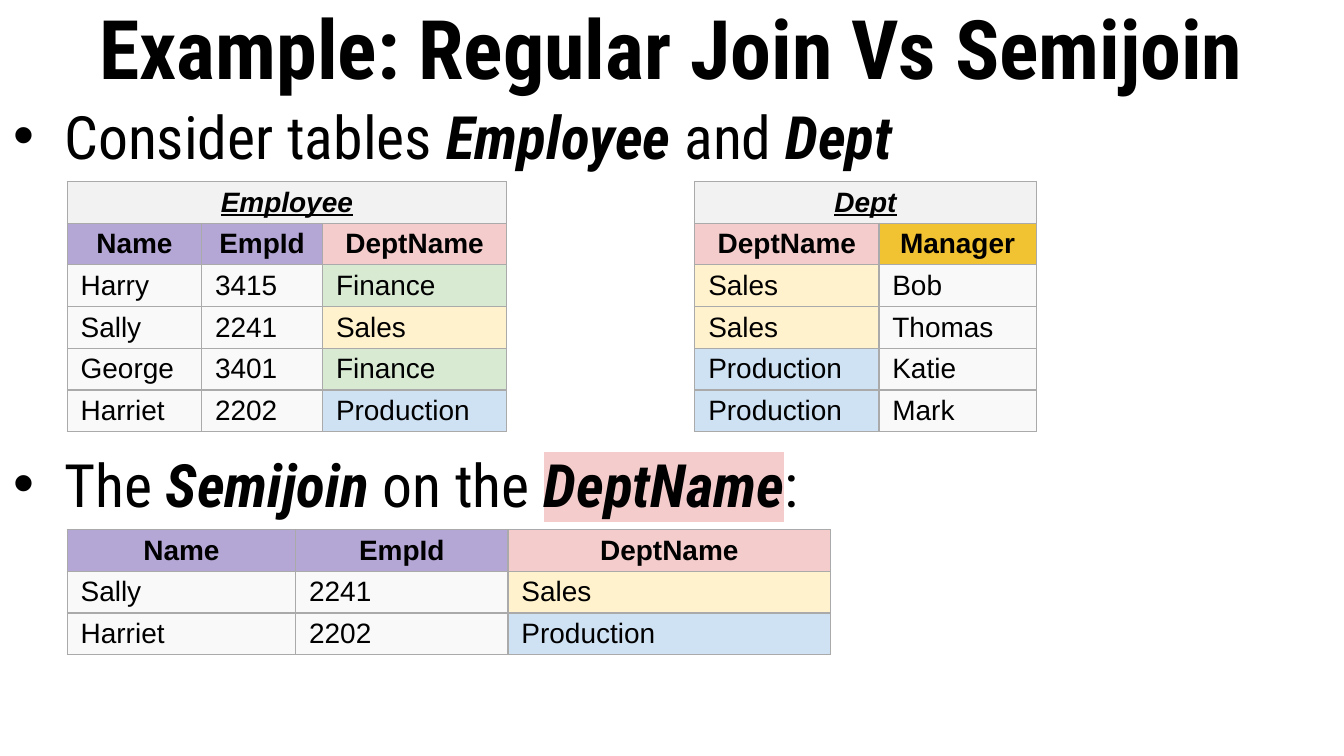
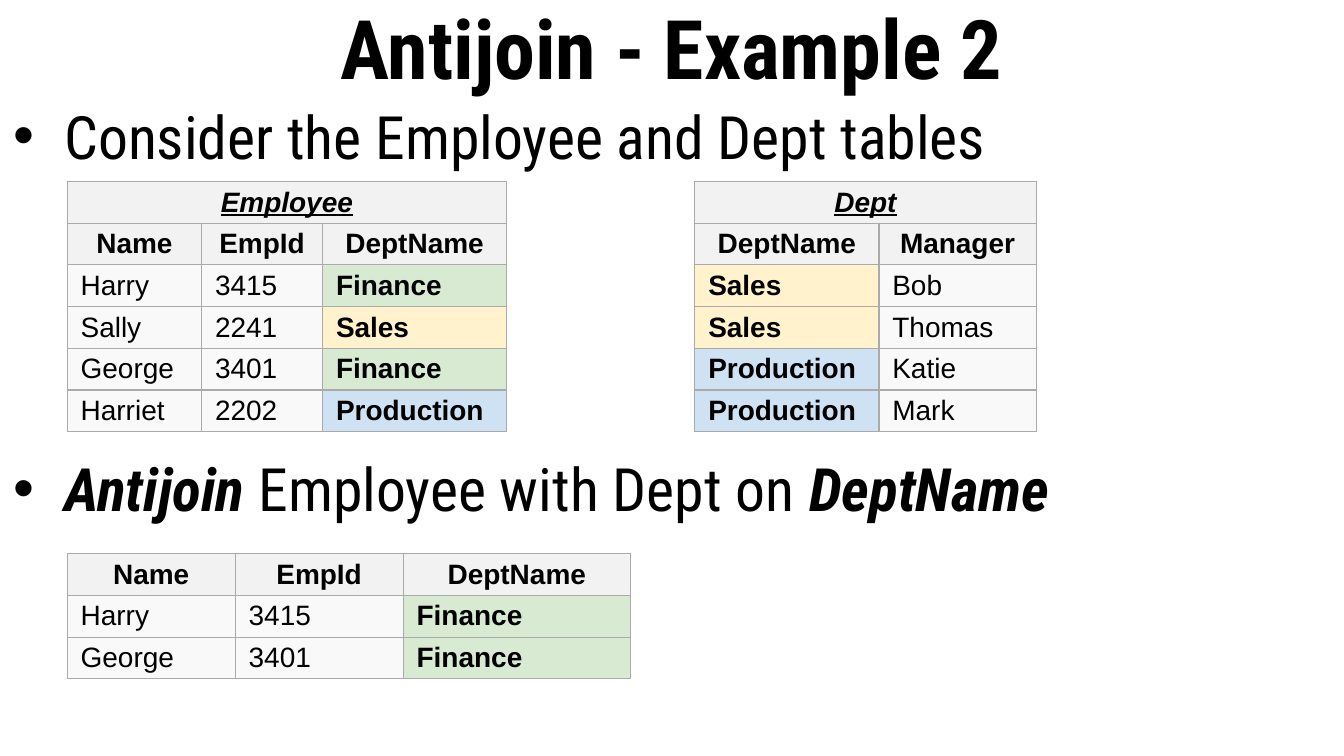
from lxml.etree import SubElement
from pptx import Presentation
from pptx.dml.color import RGBColor
from pptx.enum.text import MSO_ANCHOR, PP_ALIGN
from pptx.oxml.ns import qn
from pptx.util import Inches, Pt

WIDTH = 10
HEIGHT = WIDTH * 9 / 16
HEAD, BODY = "F2F2F2", "F9F9F9"
PURPLE, PINK, GOLD = "B4A7D6", "F4CCCC", "F1C232"
EDGE = "AAAAAA"
DEPTS = {"Finance": "D9EAD3", "Sales": "FFF2CC", "Production": "CFE2F3"}
KEYS = {"Name": PURPLE, "EmpId": PURPLE, "DeptName": PINK, "Manager": GOLD}

STAFF = [
    ("Name", "EmpId", "DeptName"),
    ("Harry", "3415", "Finance"),
    ("Sally", "2241", "Sales"),
    ("George", "3401", "Finance"),
    ("Harriet", "2202", "Production"),
]
UNITS = [
    ("DeptName", "Manager"),
    ("Sales", "Bob"),
    ("Sales", "Thomas"),
    ("Production", "Katie"),
    ("Production", "Mark"),
]
LEFT, RIGHT, TOP = 0.5, 5.17, 1.35
BAND = 0.69
ROW = 1.84 / 6


def color(code):
    return RGBColor.from_string(code)


def pick(*names):
    """Staff header plus the rows of the named people."""
    return [STAFF[0]] + [row for row in STAFF if row[0] in names]


class Deck:
    def __init__(self):
        self.prs = Presentation()
        self.prs.slide_width = Inches(WIDTH)
        self.prs.slide_height = Inches(HEIGHT)
        self.slide = None

    def start(self, title):
        self.slide = self.prs.slides.add_slide(self.prs.slide_layouts[6])
        frame = self.frame(0, BAND)
        frame.vertical_anchor = MSO_ANCHOR.MIDDLE
        para = frame.paragraphs[0]
        para.alignment = PP_ALIGN.CENTER
        self.run(para, title, 44, bold=True)

    def frame(self, top, height):
        box = self.slide.shapes.add_textbox(
            0, Inches(top), Inches(WIDTH), Inches(height))
        box.text_frame.word_wrap = True
        return box.text_frame

    def run(self, para, text, size, face="Roboto Condensed", bold=False,
            italic=False, under=False, mark=None):
        run = para.add_run()
        run.text = text
        font = run.font
        font.size, font.bold, font.italic = Pt(size), bold, italic
        font.underline = under
        font.color.rgb = color("000000")
        if mark:
            light = SubElement(font._element, qn("a:highlight"))
            SubElement(light, qn("a:srgbClr"), val=mark)
        font.name = face

    def points(self, gap, *items):
        """Bullets set apart by gap points; each item lists (text, strong, mark)."""
        frame = self.frame(BAND, HEIGHT - BAND)
        for i, item in enumerate(items):
            para = frame.add_paragraph() if i else frame.paragraphs[0]
            para.space_before = Pt(gap if i else 0)
            props = para._p.get_or_add_pPr()
            props.set("marL", str(Inches(0.38)))
            props.set("indent", str(-Inches(0.38)))
            tint = SubElement(props, qn("a:buClr"))
            SubElement(tint, qn("a:srgbClr"), val="000000")
            SubElement(props, qn("a:buFont"), typeface="Arial")
            SubElement(props, qn("a:buChar"), char="•")
            for text, strong, *mark in item:
                self.run(para, text, 32, bold=strong, italic=strong,
                         mark=mark[0] if mark else None)

    def table(self, left, top, widths, rows, name=None, keys=None, strong=False):
        """Table with an optional merged name row; keys maps headers to fills,
        and strong makes the department cells bold."""
        lead = 1 if name else 0
        count = len(rows) + lead
        grid = self.slide.shapes.add_table(
            count, len(widths), Inches(left), Inches(top),
            Inches(sum(widths)), Inches(ROW * count)).table
        grid.first_row = grid.horz_banding = False
        for col, width in zip(grid.columns, widths):
            col.width = Inches(width)
        for line in grid.rows:
            line.height = Inches(ROW)
        if name:
            for c in range(len(widths)):
                self.cell(grid.cell(0, c), "" if c else name, HEAD, True, True, True)
            grid.cell(0, 0).merge(grid.cell(0, len(widths) - 1))
        for r, row in enumerate(rows):
            for c, text in enumerate(row):
                if r == 0:
                    fill, bold = (keys or {}).get(text, HEAD), True
                else:
                    fill, bold = DEPTS.get(text, BODY), strong and text in DEPTS
                self.cell(grid.cell(r + lead, c), text, fill, bold, r == 0)

    def cell(self, cell, text, fill, bold, center, title=False):
        cell.margin_left = cell.margin_right = Inches(0.1)
        cell.margin_top = cell.margin_bottom = Inches(0.03)
        cell.vertical_anchor = MSO_ANCHOR.MIDDLE
        props = cell._tc.get_or_add_tcPr()
        for side in ("lnL", "lnR", "lnT", "lnB"):
            line = SubElement(props, qn("a:" + side), w=str(Pt(0.75)))
            paint = SubElement(line, qn("a:solidFill"))
            SubElement(paint, qn("a:srgbClr"), val=EDGE)
        cell.fill.solid()
        cell.fill.fore_color.rgb = color(fill)
        para = cell.text_frame.paragraphs[0]
        para.alignment = PP_ALIGN.CENTER if center else PP_ALIGN.LEFT
        if text:
            self.run(para, text, 15, "Arial", bold, title, title)

    def inputs(self, **style):
        """The two tables that every example joins."""
        self.table(LEFT, TOP, (1, 0.9, 1.37), STAFF, "Employee", **style)
        self.table(RIGHT, TOP, (1.37, 1.17), UNITS, "Dept", **style)


def main():
    deck = Deck()

    deck.start("Example: Regular Join Vs Semijoin")
    deck.points(
        148,
        [("Consider tables ", False), ("Employee", True), (" and ", False),
         ("Dept", True)],
        [("The ", False), ("Semijoin", True), (" on the ", False),
         ("DeptName", True, PINK), (":", False)])
    deck.inputs(keys=KEYS)
    deck.table(LEFT, 3.94, (1.7, 1.58, 2.4), pick("Sally", "Harriet"), keys=KEYS)

    deck.start("Antijoin - Example 2")
    deck.points(
        150.5,
        [("Consider the Employee and Dept tables", False)],
        [("Antijoin", True), (" Employee with Dept on ", False),
         ("DeptName", True)])
    deck.table(LEFT, 4.12, (1.25, 1.25, 1.69), pick("Harry", "George"), strong=True)
    deck.inputs(strong=True)

    deck.prs.save("out.pptx")


if __name__ == "__main__":
    main()
